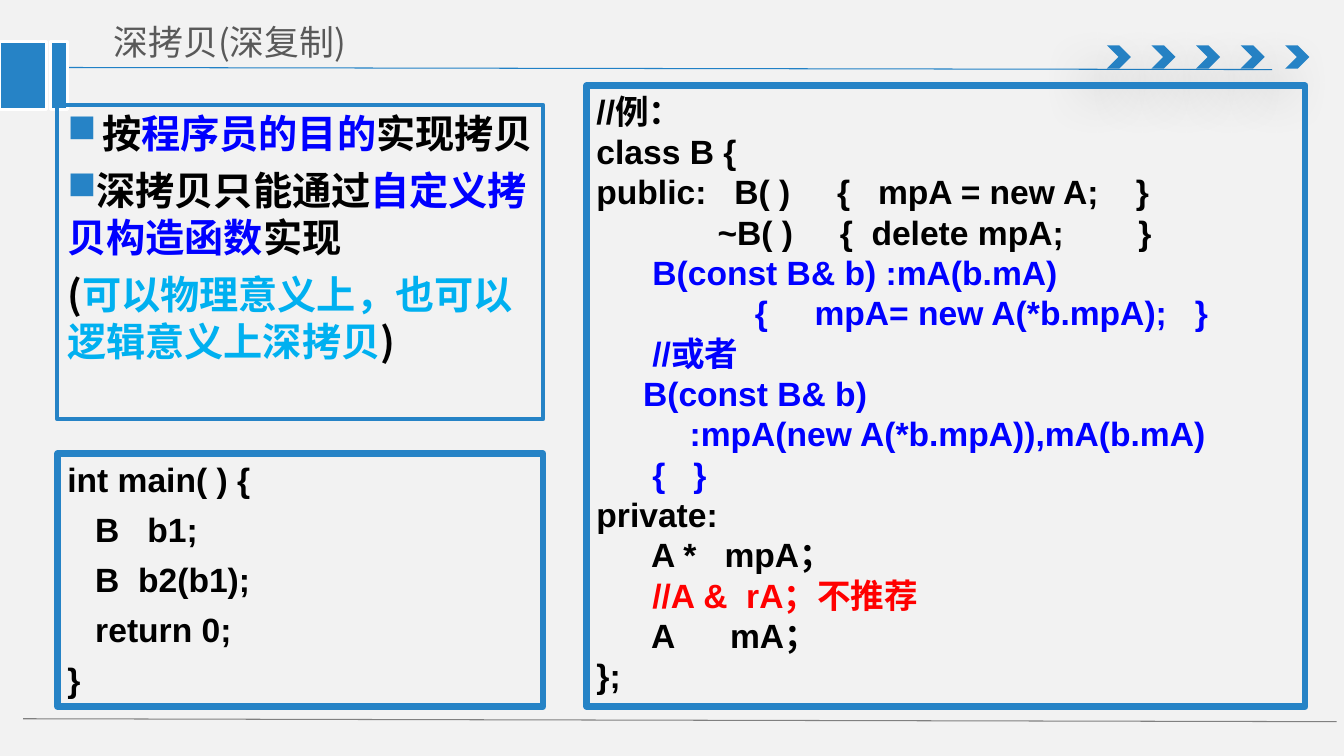
from lxml import etree
from pptx import Presentation
from pptx.dml.color import RGBColor
from pptx.enum.shapes import MSO_CONNECTOR, MSO_SHAPE
from pptx.enum.text import MSO_ANCHOR, PP_ALIGN
from pptx.oxml import parse_xml
from pptx.oxml.ns import qn
from pptx.util import Pt

RECT, CHEVRON = MSO_SHAPE.RECTANGLE, MSO_SHAPE.CHEVRON
STRAIGHT = MSO_CONNECTOR.STRAIGHT
TOP, MIDDLE = MSO_ANCHOR.TOP, MSO_ANCHOR.MIDDLE
LEFT = PP_ALIGN.LEFT
BLUE, BLACK, WHITE = "2683C6", "000000", "FFFFFF"
CODE, RED, SKY = "0000FF", "FF0000", "00B0F0"
SHADOW = (
    '<a:effectLst xmlns:a="http://schemas.openxmlformats.org/drawingml/2006/main">'
    '<a:outerShdw blurRad="457200" dist="304800" dir="7800000">'
    '<a:srgbClr val="000000"><a:alpha val="38000"/></a:srgbClr>'
    '</a:outerShdw></a:effectLst>'
)


def color(text):
    return RGBColor.from_string(text)


class Deck:
    """Holds the style and the current slide, and draws each kind of element."""

    sans = "Noto Sans CJK SC"
    mono = "Arial"

    def __init__(self):
        self.prs = Presentation()
        self.prs.slide_width, self.prs.slide_height = Pt(960), Pt(540)
        self.slide = self.prs.slides.add_slide(self.prs.slide_layouts[6])
        fill = self.slide.background.fill
        fill.solid()
        fill.fore_color.rgb = color("F2F2F2")

    def line(self, x1, y1, x2, y2, tint):
        ends = [Pt(v) for v in (x1, y1, x2, y2)]
        link = self.slide.shapes.add_connector(STRAIGHT, *ends)
        link.line.color.rgb = color(tint)
        link.line.width = Pt(0.75)
        etree.SubElement(link._element.spPr, qn("a:effectLst"))

    def shape(self, kind, area, fill=None, edge=None, width=1):
        item = self.slide.shapes.add_shape(kind, *[Pt(v) for v in area])
        item.shadow.inherit = False
        if fill:
            item.fill.solid()
            item.fill.fore_color.rgb = color(fill)
        else:
            item.fill.background()
        if edge:
            item.line.color.rgb = color(edge)
            item.line.width = Pt(width)
        else:
            item.line.fill.background()
        return item

    def arrow(self, area):
        props = self.shape(CHEVRON, area, BLUE)._element.spPr
        props.replace(props.find(qn("a:effectLst")), parse_xml(SHADOW))

    def style(self, run, size, face, tint, bold):
        font = run.font
        font.size, font.name, font.bold = Pt(size), face, bold
        font.color.rgb = color(tint)
        east = etree.SubElement(run._r.get_or_add_rPr(), qn("a:ea"))
        east.set("typeface", self.sans)

    def title(self, text, area):
        box = self.slide.shapes.add_textbox(*[Pt(v) for v in area])
        frame = box.text_frame
        frame.word_wrap = True
        frame.vertical_anchor = MIDDLE
        frame.margin_left = frame.margin_right = Pt(10)
        frame.margin_top = frame.margin_bottom = Pt(5)
        frame.text = text
        self.style(frame.paragraphs[0].runs[0], 24.9, self.sans, "595959", False)

    def bullet(self, para, left):
        props = para._p.get_or_add_pPr()
        props.set("marL", str(Pt(left)))
        props.set("indent", str(Pt(-25)))
        tint = etree.SubElement(props, qn("a:buClr"))
        etree.SubElement(tint, qn("a:srgbClr")).set("val", BLUE)
        etree.SubElement(props, qn("a:buChar")).set("char", "■")

    def panel(self, area, width, rows, size, face, gap=0, marks=()):
        frame = self.shape(RECT, area, None, BLUE, width).text_frame
        frame.word_wrap = True
        frame.vertical_anchor = TOP
        for i, row in enumerate(rows):
            para = frame.add_paragraph() if i else frame.paragraphs[0]
            if i < len(marks):
                self.bullet(para, marks[i])
            para.alignment = LEFT
            para.line_spacing = Pt(size * 1.2)
            para.space_before = Pt(gap if i else 0)
            for text, tint in row:
                run = para.add_run()
                run.text = text
                self.style(run, size, face, tint, True)


def main():
    deck = Deck()
    deck.line(38.2, 48.2, 908.6, 49.7, "2181C6")
    for i in range(5):
        deck.arrow((790.6 + 31.86 * i, 32.4, 17.2, 16.6))
    deck.line(16.6, 513.4, 954.7, 515.5, "808080")
    for left, width in ((0, 33.1), (36, 12.2)):
        deck.shape(RECT, (left, 29.5, width, 49), BLUE, WHITE, 2)
    deck.title("深拷贝(深复制)", (71.3, 10.1, 333.4, 39.6))

    notes = [
        [("按", BLACK), ("程序员的目的", CODE), ("实现拷贝", BLACK)],
        [("深拷贝只能通过", BLACK), ("自定义拷贝构造函数", CODE), ("实现", BLACK)],
        [("(", BLACK), ("可以物理意义上，也可以逻辑意义上深拷贝", SKY), (")", BLACK)],
    ]
    deck.panel((41, 74.9, 347, 224.6), 3, notes, 28, deck.sans, 7, (25, 0))

    parts = [
        (BLACK, """//例：
class B {
public:   B( )     {   mpA = new A;    }
             ~B( )     {  delete mpA;        }"""),
        (CODE, """      B(const B& b) :mA(b.mA)
                 {     mpA= new A(*b.mpA);   }
      //或者
     B(const B& b)
          :mpA(new A(*b.mpA)),mA(b.mA)
      {   }"""),
        (BLACK, """private:
      A *   mpA；"""),
        (RED, "      //A &  rA；不推荐"),
        (BLACK, """      A      mA；
};"""),
    ]
    rows = [[(text, tint)] for tint, part in parts for text in part.split("\n")]
    deck.panel((419, 61.2, 513.4, 443.5), 4.5, rows, 24, deck.mono)

    code = """int main( ) {
   B   b1;
   B  b2(b1);
   return 0;
}"""
    rows = [[(text, BLACK)] for text in code.split("\n")]
    deck.panel((41, 324, 347, 180.7), 4.5, rows, 24, deck.mono, 7)
    deck.prs.save("out.pptx")


if __name__ == "__main__":
    main()
